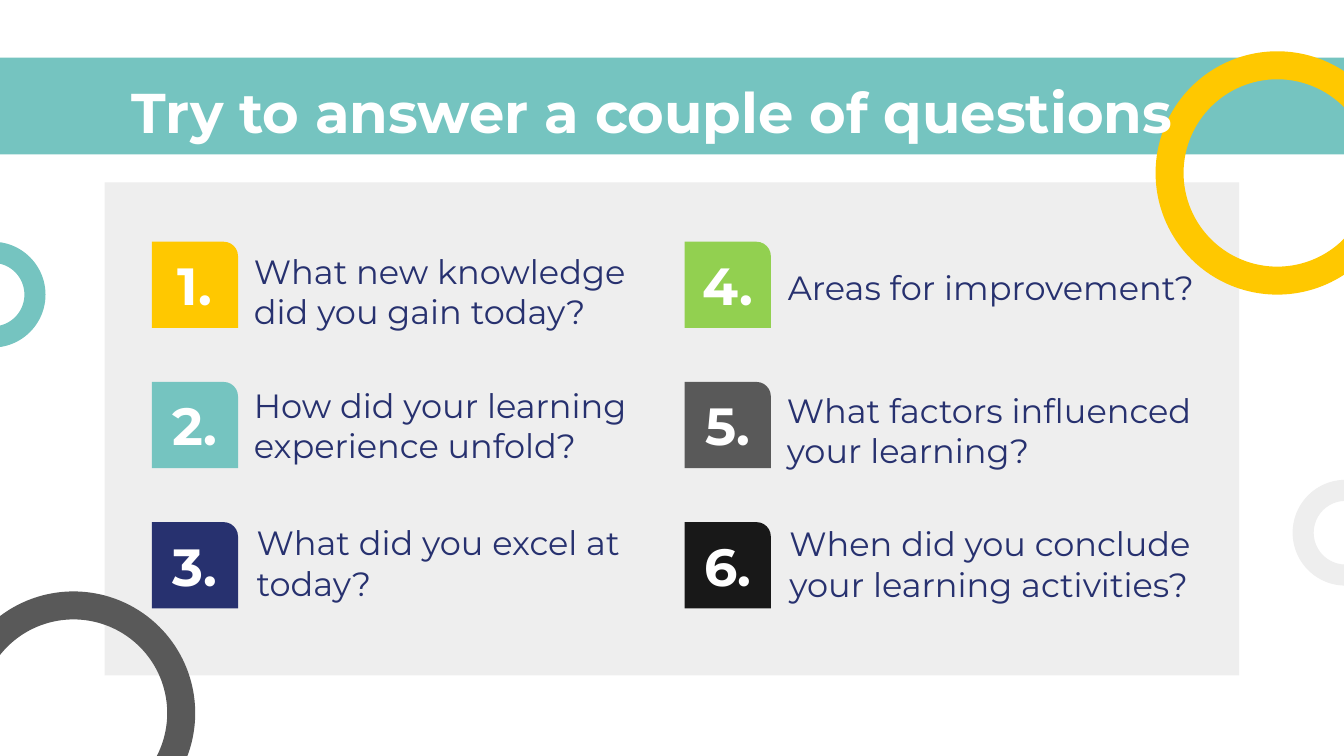
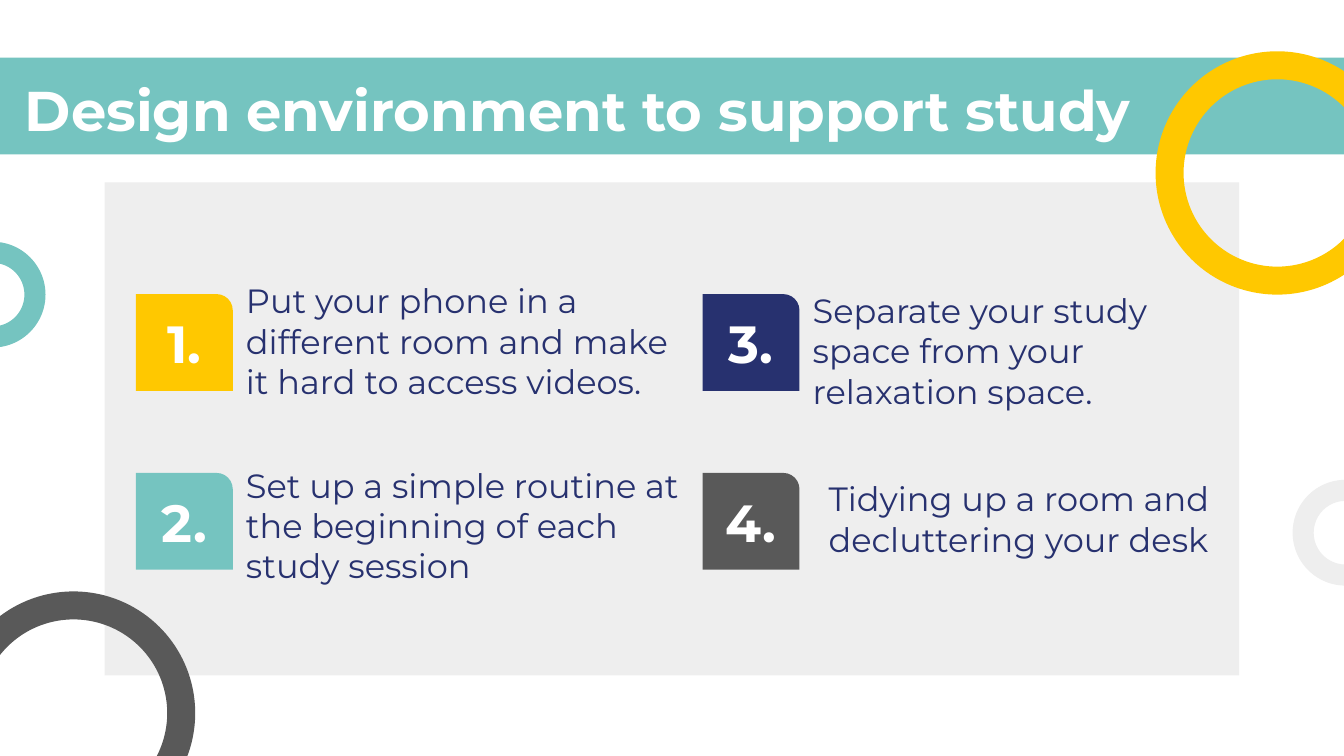
from collections import namedtuple
from dataclasses import dataclass

from pptx import Presentation
from pptx.dml.color import RGBColor
from pptx.enum import shapes, text
from pptx.util import Cm, Pt

Box = namedtuple("Box", "x y w h")  # all lengths in centimetres
Item = namedtuple("Item", "color words text_box")  # text_box is relative to the badge
Grid = namedtuple("Grid", "x y dx dy rows badge number_h")


@dataclass(frozen=True)
class Theme:
    font: str = "Montserrat"
    teal: str = "75C4C0"
    yellow: str = "FFC800"
    navy: str = "27316F"
    green: str = "92D050"
    grey: str = "595959"
    black: str = "181818"
    pale: str = "EEEEEE"
    white: str = "FFFFFF"
    title_size: int = 30
    number_size: int = 28
    body_size: int = 18
    inset: float = 0.25


T = Theme()
SLIDE = Box(0, 0, 25.4, 14.29)
BAND = Box(-0.43, 1.09, 26.26, 1.83)
PANEL = Box(1.98, 3.45, 21.44, 9.32)
RINGS = [
    (Box(21.84, 0.97, 4.6, 4.6), 0.115, T.yellow),
    (Box(-1.14, 4.57, 2, 2), 0.199, T.teal),
    (Box(24.43, 9.07, 2, 2), 0.199, T.pale),
    (Box(-0.91, 11.18, 4.6, 4.6), 0.115, T.grey),
]


def within(box, x, y, w, h):
    """Turn a place inside a box into a place on the slide."""
    return Box(box.x + x, box.y + y, w, h)


def add_shape(s, kind, box, color, adj=None):
    sp = s.shapes.add_shape(kind, *map(Cm, box))
    sp.shadow.inherit = False
    sp.fill.solid()
    sp.fill.fore_color.rgb = RGBColor.from_string(color)
    sp.line.fill.background()
    if adj is not None:
        sp.adjustments[0] = adj


def add_text(s, box, words, size, color, bold=False,
             align=text.PP_ALIGN.LEFT, anchor=text.MSO_ANCHOR.TOP):
    tf = s.shapes.add_textbox(*map(Cm, box)).text_frame
    tf.word_wrap = True
    tf.vertical_anchor = anchor
    tf.margin_left = tf.margin_right = Cm(T.inset)
    tf.margin_top = tf.margin_bottom = Cm(T.inset)
    p = tf.paragraphs[0]
    p.alignment = align
    r = p.add_run()
    r.text = words
    r.font.name = T.font
    r.font.size = Pt(size)
    r.font.bold = bold
    r.font.color.rgb = RGBColor.from_string(color)


def add_frame(s):
    # Title band, content panel and rings at the edges
    add_shape(s, shapes.MSO_SHAPE.RECTANGLE, BAND, T.teal)
    add_shape(s, shapes.MSO_SHAPE.RECTANGLE, PANEL, T.pale)
    for box, thickness, color in RINGS:
        add_shape(s, shapes.MSO_SHAPE.DONUT, box, color, thickness)


def add_title(s, band, words, x, y):
    add_text(s, within(band, x, y, 21.44, 1.6), words, T.title_size, T.white,
             bold=True, align=text.PP_ALIGN.CENTER)


def add_item(s, badge, number, item, number_h):
    # Badge
    add_shape(s, shapes.MSO_SHAPE.ROUND_1_RECTANGLE, badge, item.color, 0.167)
    # Number, centred on the badge
    add_text(s, within(badge, 0, (badge.h - number_h) / 2, badge.w, number_h),
             f"{number}.", T.number_size, T.white, bold=True,
             align=text.PP_ALIGN.CENTER, anchor=text.MSO_ANCHOR.MIDDLE)
    # Words beside the badge
    add_text(s, within(badge, *item.text_box), item.words, T.body_size, T.navy)


def add_items(s, panel, grid, items):
    # Numbered down each column in turn
    for i, item in enumerate(items):
        col, row = divmod(i, grid.rows)
        badge = within(panel, grid.x + col * grid.dx, grid.y + row * grid.dy,
                       grid.badge, grid.badge)
        add_item(s, badge, i + 1, item, grid.number_h)


def add_list_slide(prs, title, title_at, grid, items):
    s = prs.slides.add_slide(prs.slide_layouts[6])
    add_frame(s)
    add_items(s, PANEL, grid, items)
    add_title(s, BAND, title, *title_at)


QUESTIONS = [
    Item(T.yellow, "What new knowledge did you gain today?", (1.68, -0.08, 7.85, 1)),
    Item(T.teal, "How did your learning experience unfold?", (1.68, -0.2, 8.13, 2.1)),
    Item(T.navy, "What did you excel at today?", (1.73, -0.25, 7.85, 1)),
    Item(T.green, "Areas for improvement?", (1.7, 0.22, 9.88, 1)),
    Item(T.grey, "What factors influenced your learning?", (1.68, -0.1, 9.68, 2.06)),
    Item(T.black, "When did you conclude your learning activities?",
         (1.73, -0.23, 8.53, 2.06)),
]
HABITS = [
    Item(T.yellow, "Put your phone in a different room and make it hard to access videos.",
         (1.83, -0.51, 9.02, 2.77)),
    Item(T.teal, "Set up a simple routine at the beginning of each study session",
         (1.83, -0.41, 9.02, 2.87)),
    Item(T.navy, "Separate your study space from your relaxation space.",
         (1.83, -0.33, 8.28, 1.7)),
    Item(T.grey, "Tidying up a room and decluttering your desk",
         (2.13, -0.15, 7.98, 2.59)),
]


def main():
    prs = Presentation()
    prs.slide_width, prs.slide_height = Cm(SLIDE.w), Cm(SLIDE.h)
    add_list_slide(prs, "Try to answer a couple of questions", (2.03, 0.13),
                   Grid(0.89, 1.12, 10.07, 2.65, 3, 1.63, 1.14), QUESTIONS)
    add_list_slide(prs, "Design environment to support study", (0.63, 0.08),
                   Grid(0.59, 2.11, 10.71, 3.38, 2, 1.83, 1.27), HABITS)
    prs.save("out.pptx")


if __name__ == "__main__":
    main()
